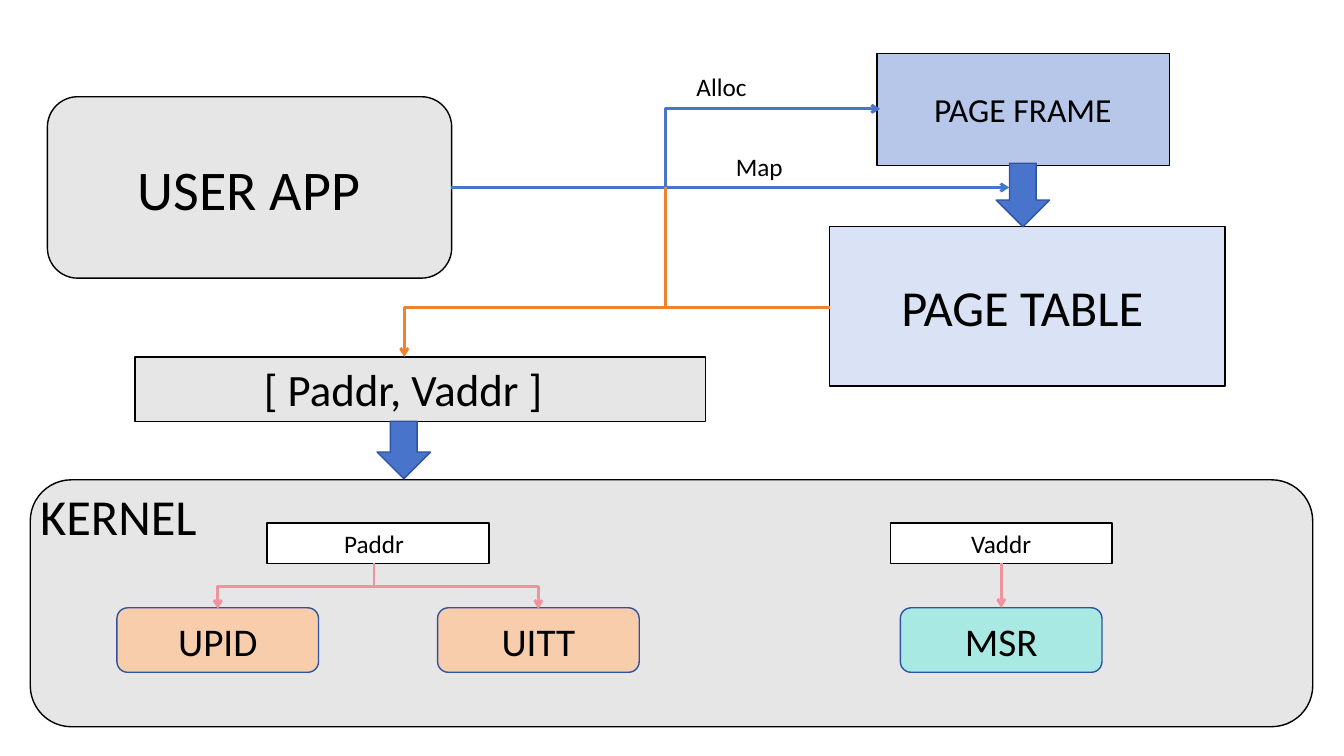
from lxml.etree import SubElement
from pptx import Presentation
from pptx.dml.color import RGBColor
from pptx.enum.shapes import MSO_CONNECTOR, MSO_SHAPE
from pptx.enum.text import MSO_ANCHOR, MSO_AUTO_SIZE, PP_ALIGN
from pptx.oxml.ns import qn
from pptx.util import Inches, Pt

BLACK, WHITE, GREY = "000000", "FFFFFF", "E7E6E6"
BLUE, NAVY, ORANGE, PINK = "4874CB", "2E54A1", "EE822F", "EF949E"
PEACH, TEAL, FRAME_BLUE, TABLE_BLUE = "F8CDAC", "A9E9E4", "B6C7EA", "DAE3F5"
PROCESS = MSO_SHAPE.FLOWCHART_PROCESS
ROUNDED = MSO_SHAPE.FLOWCHART_ALTERNATE_PROCESS


def color(hex_value):
    return RGBColor.from_string(hex_value)


def apply_format(target, values):
    for name, value in values.items():
        setattr(target, name, value)


class Diagram:
    font_name = "Calibri"
    outline_width = Pt(1)
    flow_width = Pt(2)

    def __init__(self, slide):
        self.shapes = slide.shapes

    def box(self, kind, left, top, width, height, fill, outline=BLACK):
        block = self.shapes.add_shape(
            kind, Inches(left), Inches(top), Inches(width), Inches(height))
        block.shadow.inherit = False
        block.fill.solid()
        block.fill.fore_color.rgb = color(fill)
        block.line.color.rgb = color(outline)
        block.line.width = self.outline_width
        return block

    def label(self, text, left, top, width, height, size,
              align=PP_ALIGN.CENTER, anchor=MSO_ANCHOR.TOP):
        frame = self.shapes.add_textbox(
            Inches(left), Inches(top), Inches(width), Inches(height)).text_frame
        fit = (MSO_AUTO_SIZE.SHAPE_TO_FIT_TEXT if anchor == MSO_ANCHOR.TOP
               else MSO_AUTO_SIZE.NONE)
        apply_format(frame, {"word_wrap": True, "auto_size": fit,
                             "vertical_anchor": anchor})
        paragraph = frame.paragraphs[0]
        paragraph.alignment = align
        run = paragraph.add_run()
        run.text = text
        apply_format(run.font, {"name": self.font_name, "size": Pt(size)})
        run.font.color.rgb = color(BLACK)

    def flow(self, start, end, stroke, kind=MSO_CONNECTOR.STRAIGHT, arrow=True):
        link = self.shapes.add_connector(
            kind, *(Inches(value) for value in (*start, *end)))
        link.line.color.rgb = color(stroke)
        link.line.width = self.flow_width
        if arrow:
            SubElement(link.line._get_or_add_ln(), qn("a:tailEnd"), type="arrow")
        SubElement(link._element.spPr, qn("a:effectLst"))
        return link

    def corner(self, start, end, stroke):
        """One bend: across, then down."""
        link = self.flow(start, end, stroke, MSO_CONNECTOR.ELBOW)
        link._element.spPr.find(qn("a:prstGeom")).set("prst", "bentConnector2")

    def branch(self, start, end, stroke):
        """Two bends, leaving downwards: an elbow turned by 90 degrees."""
        (x1, y1), (x2, y2) = start, end
        mid_x, mid_y = (x1 + x2) / 2, (y1 + y2) / 2
        half_x, half_y = (x2 - x1) / 2, (y2 - y1) / 2
        link = self.flow((mid_x - half_y, mid_y + half_x),
                         (mid_x + half_y, mid_y - half_x),
                         stroke, MSO_CONNECTOR.ELBOW)
        link._element.spPr.find(qn("a:xfrm")).set("rot", str(90 * 60000))


def build(diagram):
    # Kernel area with its address boxes and structures
    diagram.box(ROUNDED, 0.3, 4.76, 12.72, 2.45, GREY)
    address_boxes = {
        name: diagram.box(PROCESS, left, 5.19, 2.2, 0.4, WHITE)
        for name, left in (("Paddr", 2.65), ("Vaddr", 8.83))}
    structures = (("UPID", 1.16, PEACH), ("UITT", 4.34, PEACH),
                  ("MSR", 8.93, TEAL))
    structure_boxes = {
        name: diagram.box(ROUNDED, left, 6.03, 2, 0.64, fill, NAVY)
        for name, left, fill in structures}

    # User app and paging blocks
    diagram.box(ROUNDED, 0.47, 0.96, 4.01, 1.8, GREY)
    diagram.box(PROCESS, 8.7, 0.53, 2.9, 1.11, FRAME_BLUE)
    diagram.box(PROCESS, 8.23, 2.25, 3.92, 1.58, TABLE_BLUE)
    diagram.label("USER APP", 0.98, 1.48, 2.98, 0.77, 40)
    diagram.label("PAGE FRAME", 8.57, 0.83, 3.15, 0.5, 24)
    diagram.label("PAGE TABLE", 8.77, 2.69, 2.74, 0.71, 36)
    diagram.box(MSO_SHAPE.DOWN_ARROW, 9.88, 1.62, 0.53, 0.63, BLUE, NAVY)

    # Alloc and map requests
    diagram.flow((4.47, 1.86), (8.73, 1.08), BLUE, MSO_CONNECTOR.ELBOW)
    diagram.label("Alloc", 6.81, 0.66, 4.44, 0.4, 18, PP_ALIGN.LEFT)
    diagram.flow((6.6, 1.86), (10.01, 1.86), BLUE)
    diagram.label("Map", 7.2, 1.45, 1.03, 0.4, 18, PP_ALIGN.LEFT)

    # Address pair handed to the kernel
    diagram.box(PROCESS, 1.34, 3.54, 5.66, 0.64, GREY)
    diagram.label("[ Paddr, Vaddr ]", 1.78, 3.54, 4.44, 0.64, 32)
    diagram.corner((8.23, 3.05), (4.01, 3.54), ORANGE)
    diagram.flow((6.6, 1.86), (6.6, 3.05), ORANGE, arrow=False)
    diagram.label("KERNEL", 0.3, 4.76, 1.98, 0.71, 36, PP_ALIGN.LEFT)
    diagram.box(MSO_SHAPE.DOWN_ARROW, 3.74, 4.18, 0.53, 0.57, BLUE, NAVY)

    # Kernel labels
    for name, left, _ in structures:
        diagram.label(name, left + 0.31, 6.05, 1.38, 0.62, 28,
                      anchor=MSO_ANCHOR.MIDDLE)
    for name, left in (("Paddr", 3.16), ("Vaddr", 9.38)):
        diagram.label(name, left, 5.19, 1.1, 0.4, 18)

    # Links from addresses to structures
    for target_x in (2.16, 5.34):
        diagram.branch((3.71, 5.59), (target_x, 6.04), PINK)
    vaddr_link = diagram.flow((9.93, 5.59), (9.93, 6.03), PINK)
    vaddr_link.begin_connect(address_boxes["Vaddr"], 2)
    vaddr_link.end_connect(structure_boxes["MSR"], 0)


def main():
    deck = Presentation()
    apply_format(deck, {"slide_width": Inches(13.33),
                        "slide_height": Inches(7.5)})
    build(Diagram(deck.slides.add_slide(deck.slide_layouts[6])))
    deck.save("out.pptx")


if __name__ == "__main__":
    main()
